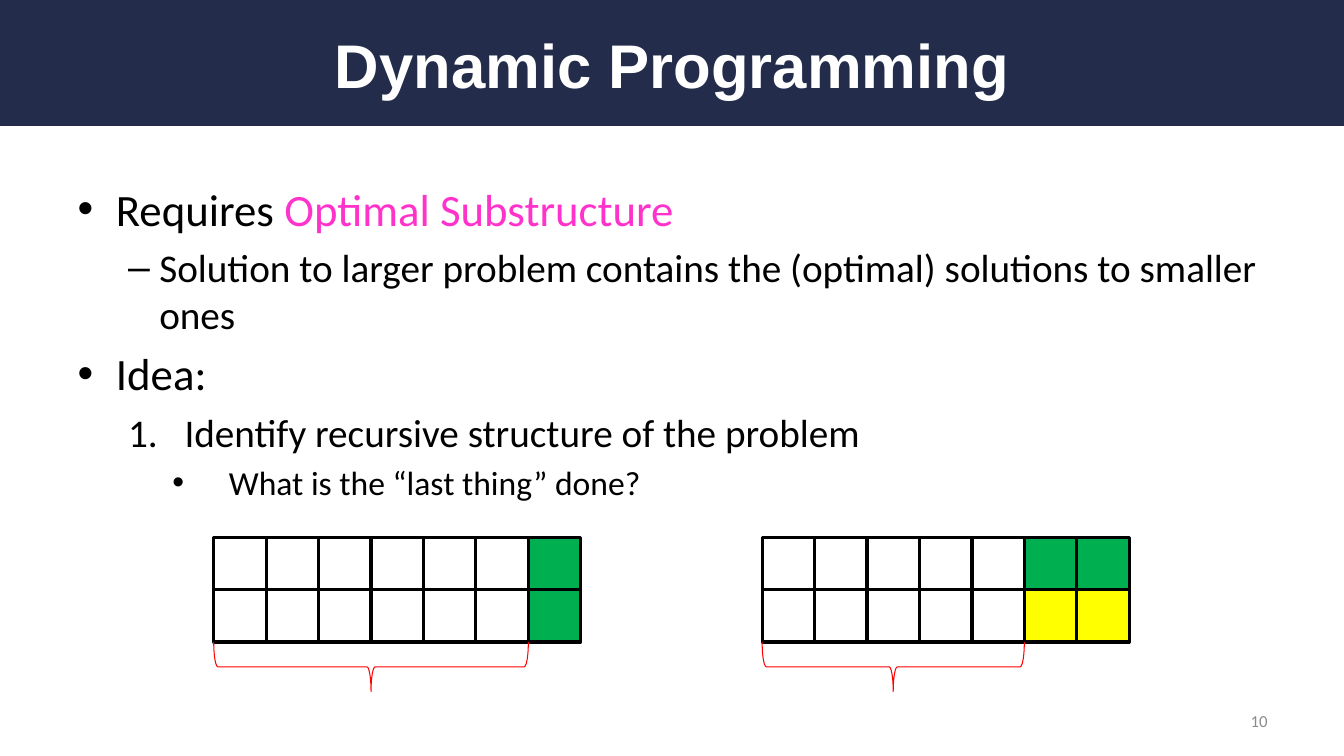
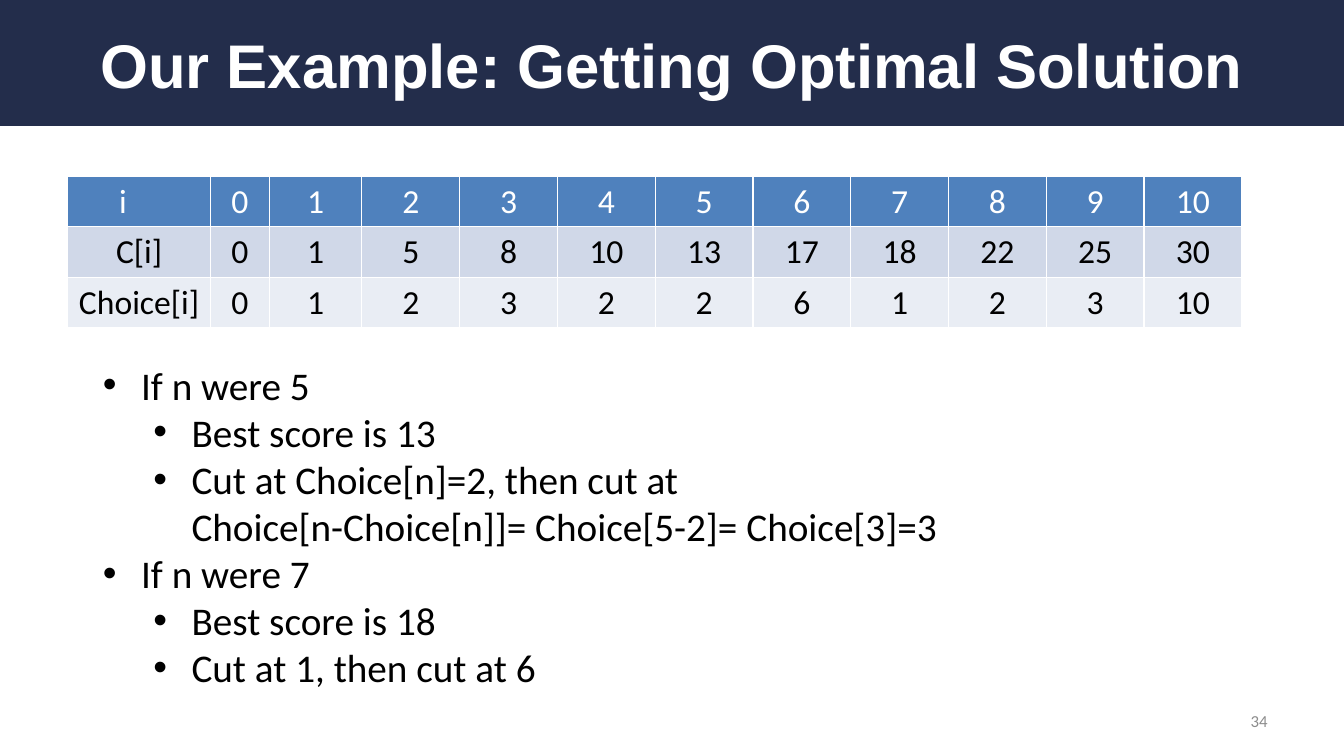
from lxml import etree
from pptx import Presentation
from pptx.dml.color import RGBColor
from pptx.enum.shapes import MSO_SHAPE
from pptx.enum.text import MSO_ANCHOR, MSO_AUTO_SIZE, PP_ALIGN
from pptx.oxml.ns import qn
from pptx.util import Inches, Pt

RECT, BRACE = MSO_SHAPE.RECTANGLE, MSO_SHAPE.LEFT_BRACE
MIDDLE, FIXED = MSO_ANCHOR.MIDDLE, MSO_AUTO_SIZE.NONE
CENTER, RIGHT = PP_ALIGN.CENTER, PP_ALIGN.RIGHT

HUE = {
    "navy": "232D4B", "white": "FFFFFF", "black": "000000", "gray": "8C8C8C",
    "pink": "FF33CC", "green": "00B050", "yellow": "FFFF00", "red": "FF0000",
    "head": "4F81BD", "dark": "D0D8E8", "light": "E9EDF4",
}
RGB = {name: RGBColor.from_string(code) for name, code in HUE.items()}


def write(para, text, size, hue="black", face="Calibri", bold=False):
    """Add one run to a paragraph."""
    run = para.add_run()
    run.text = text
    run.font.size = Pt(size)
    run.font.name = face
    run.font.bold = bold
    run.font.color.rgb = RGB[hue]


def page(title, number, place, items, gap):
    """Add a slide with title, list and number; gap is a share of text size."""
    slide = deck.slides.add_slide(layout)
    head, body = slide.placeholders
    head.left, head.top = Inches(0.67), Inches(0.17)
    head.width, head.height = Inches(12), Inches(0.92)
    head.text_frame.auto_size = FIXED
    head.text_frame.vertical_anchor = MIDDLE
    para = head.text_frame.paragraphs[0]
    para.alignment = CENTER
    write(para, title, 44, "white", "Arial", True)

    body.left, body.top, body.width, body.height = map(Inches, place)
    frame = body.text_frame
    frame.auto_size = FIXED
    for index, (level, left, hang, mark, size, runs) in enumerate(items):
        para = frame.add_paragraph() if index else frame.paragraphs[0]
        para.level = level
        props = para._p.get_or_add_pPr()
        props.set("marL", str(Inches(left)))
        props.set("indent", str(-Inches(hang)))
        if mark == "1.":
            etree.SubElement(props, qn("a:buAutoNum"), type="arabicPeriod")
        else:
            etree.SubElement(props, qn("a:buFont"), typeface="Arial")
            etree.SubElement(props, qn("a:buChar"), char=mark)
        para.space_before = Pt(size * gap if index else 0)
        for text, hue in runs:
            for line, part in enumerate(text.split("\n")):
                if line:
                    para.add_line_break()
                write(para, part, size, hue)

    note = slide.shapes.add_textbox(
        Inches(9.56), Inches(6.95), Inches(3.11), Inches(0.4))
    note.text_frame.word_wrap = True
    note.text_frame.vertical_anchor = MIDDLE
    para = note.text_frame.paragraphs[0]
    para.alignment = RIGHT
    write(para, number, 12, "gray")
    return slide


deck = Presentation()
deck.slide_width, deck.slide_height = Inches(13.33), Inches(7.5)
layout = deck.slide_layouts[1]

# Slide 1: list, then two domino grids
ideas = [
    (0, 0.38, 0.38, "•", 32,
     [("Requires ", "black"), ("Optimal Substructure", "pink")]),
    (1, 0.81, 0.31, "–", 28,
     [("Solution to larger problem contains the (optimal) solutions "
       "to smaller ones", "black")]),
    (0, 0.38, 0.38, "•", 32, [("Idea:", "black")]),
    (1, 1.06, 0.56, "1.", 28,
     [("Identify recursive structure of the problem", "black")]),
    (2, 1.5, 0.56, "•", 24, [("What is the “last thing” done?", "black")]),
]
slide = page("Dynamic Programming", "10", (0.67, 1.75, 12, 3.25), ideas, 0.2)

# The band moves to the master, so that every slide shows it
band = slide.shapes.add_shape(RECT, 0, 0, deck.slide_width, Inches(1.25))
band.shadow.inherit = False
band.fill.solid()
band.fill.fore_color.rgb = RGB["navy"]
band.line.fill.background()
band._element.nvSpPr.cNvPr.set("id", "20")
deck.slide_master.shapes._spTree.insert(2, band._element)

SIDE, TOP, COLS, DEPTH = 0.52, 5.33, 7, 0.49
# left edge, open columns, fill of each row's closing cells
grids = [(2.12, 6, ("green", "green")), (7.56, 5, ("green", "yellow"))]
for left, free, hues in grids:
    for row, hue in enumerate(hues):
        for col in range(COLS):
            cell = slide.shapes.add_shape(
                RECT, Inches(left + col * SIDE), Inches(TOP + row * SIDE),
                Inches(SIDE), Inches(SIDE))
            cell.shadow.inherit = False
            cell.line.color.rgb = RGB["black"]
            cell.line.width = Pt(2.25)
            if col < free:
                cell.fill.background()
            else:
                cell.fill.solid()
                cell.fill.fore_color.rgb = RGB[hue]
    span = free * SIDE
    mid = TOP + 2 * SIDE + DEPTH / 2
    brace = slide.shapes.add_shape(
        BRACE, Inches(left + span / 2 - DEPTH / 2), Inches(mid - span / 2),
        Inches(DEPTH), Inches(span))
    brace.rotation = 270
    brace.shadow.inherit = False
    brace.fill.background()
    brace.line.color.rgb = RGB["red"]
    brace.line.width = Pt(0.75)

# Slide 2: table of scores and choices, then list
cuts = [
    (0, "If n were 5"),
    (1, "Best score is 13"),
    (1, "Cut at Choice[n]=2, then cut at\n"
        "Choice[n-Choice[n]]= Choice[5-2]= Choice[3]=3"),
    (0, "If n were 7"),
    (1, "Best score is 18"),
    (1, "Cut at 1, then cut at 6"),
]
items = [(level, 0.38 + level * 0.5, 0.38, "•", 28, [(text, "black")])
         for level, text in cuts]
slide = page("Our Example: Getting Optimal Solution", "34",
             (0.92, 3.53, 9.92, 3.4), items, 0)

rows = [
    ("head", "white", ["i", *range(11)]),
    ("dark", "black", ["C[i]", 0, 1, 5, 8, 10, 13, 17, 18, 22, 25, 30]),
    ("light", "black", ["Choice[i]", 0, 1, 2, 3, 2, 2, 6, 1, 2, 3, 10]),
]
widths = [1.42, 0.58, 0.92] + [0.97] * 9
table = slide.shapes.add_table(
    len(rows), len(widths), Inches(0.67), Inches(1.75),
    Inches(sum(widths)), Inches(1.5)).table
table.first_row = table.horz_banding = False
for col, width in zip(table.columns, widths):
    col.width = Inches(width)
for row, (fill, hue, values) in enumerate(rows):
    for col, value in enumerate(values):
        cell = table.cell(row, col)
        props = cell._tc.get_or_add_tcPr()
        for edge in ("a:lnL", "a:lnR", "a:lnT", "a:lnB"):
            line = etree.SubElement(props, qn(edge), w=str(Pt(1)))
            paint = etree.SubElement(line, qn("a:solidFill"))
            etree.SubElement(paint, qn("a:srgbClr"), val=HUE["white"])
        cell.fill.solid()
        cell.fill.fore_color.rgb = RGB[fill]
        para = cell.text_frame.paragraphs[0]
        para.alignment = CENTER
        write(para, str(value), 24, hue)
table.cell(0, 0).margin_right = Inches(0.42)

deck.save("out.pptx")
